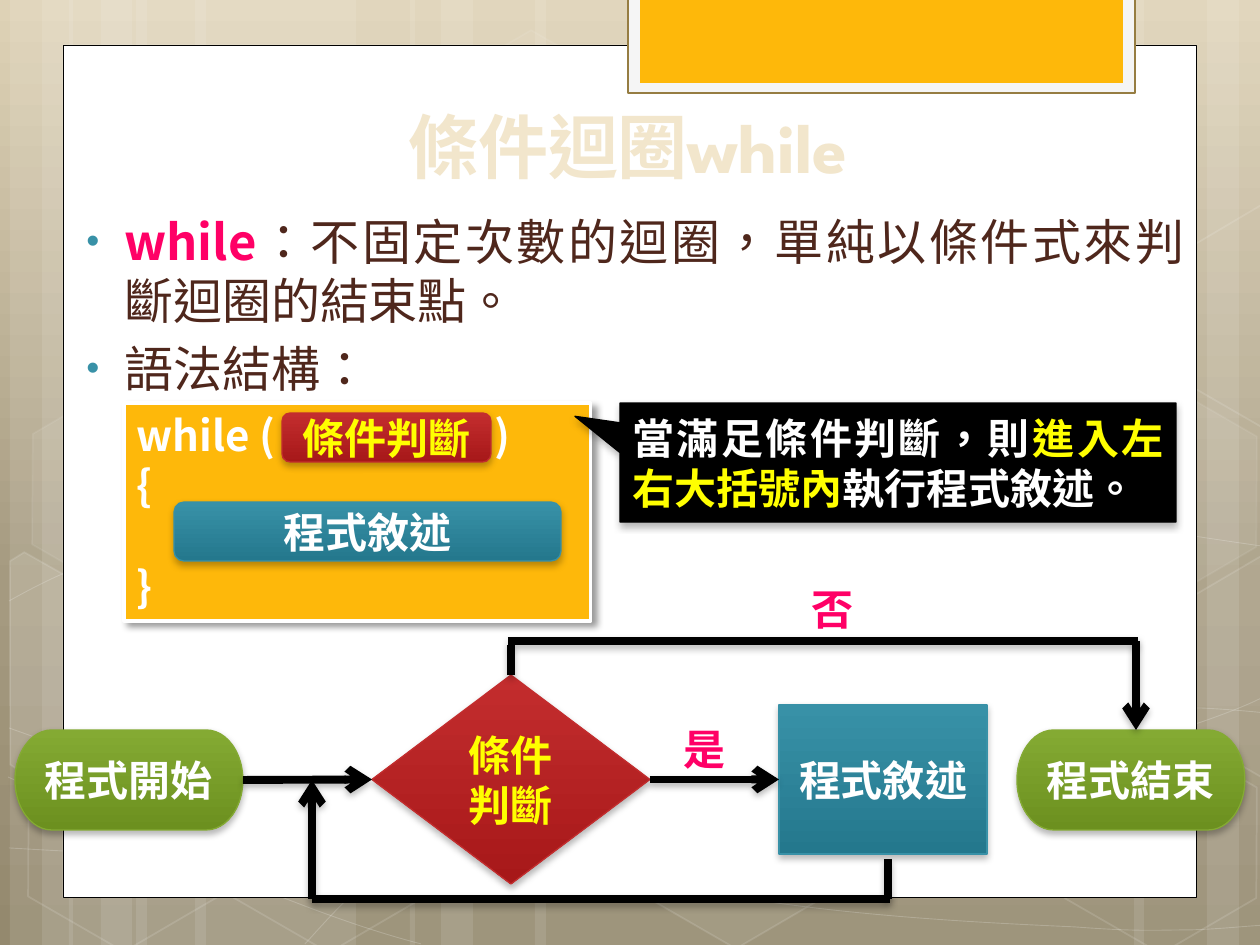
"""Build the slide that explains the while loop."""
import copy
import math

from lxml import etree
from pptx import Presentation, util as u
from pptx.dml.color import RGBColor
from pptx.enum import shapes, text
from pptx.oxml.ns import qn

KIND = shapes.MSO_SHAPE
ALIGN = text.PP_ALIGN
ANCHOR = text.MSO_ANCHOR
FONT = "Noto Sans CJK SC"
COLORS = {
    "white": "FFFFFF", "black": "000000", "yellow": "FFFF00", "pink": "FF0066",
    "brown": "4F271C", "cream": "F2E6CC", "amber": "FEB80A", "smoke": "F5F5F5",
    "olive": "967D42", "sand": "DED2B6", "khaki": "A59A80", "mud": "94896E",
    "teal": "3891A7", "deep teal": "24788D", "red": "C32D2E", "deep red": "A71819",
    "green": "84AA33", "deep green": "6C901F",
}
SOFT = (28, 4, 2, 90)
HARD = (40, 4, 3, 45)
STRIPES = [(base + shift, width) for base in (10, 69)
           for shift, width in ((126, 220), (0, 63), (32, 105))]
STRIPES += [(924, 220), (1207, 63), (1134, 105), (535, 389), (410, 63), (441, 105)]
CURVES = [
    [(9, 848), (77, 852), (145, 856), (239, 854), (334, 853), (451, 851), (577, 838),
     (703, 825), (882, 801), (998, 777), (1113, 753), (1231, 716), (1269, 694)],
    [(9, 601), (45, 581), (82, 562), (152, 543), (224, 524), (326, 496), (437, 488),
     (549, 479), (685, 478), (824, 488), (963, 498), (1193, 537), (1269, 547)],
    [(8, 777), (160, 847), (311, 916), (421, 944)],
    [(9, 728), (48, 742), (88, 756), (161, 776), (234, 795), (344, 827), (450, 848),
     (554, 869), (687, 892), (791, 905), (896, 919), (1008, 924), (1075, 927),
     (1140, 932), (1158, 930), (1191, 930), (1223, 929), (1246, 926), (1269, 925)],
    [(305, 944), (328, 919), (350, 893), (381, 871), (411, 848), (454, 823), (489, 805),
     (524, 788), (546, 780), (592, 767), (638, 754), (722, 737), (766, 728),
     (811, 719), (818, 719), (857, 717), (896, 713), (958, 709), (1000, 708),
     (1045, 708), (1116, 708), (1116, 708), (1144, 708), (1172, 708), (1201, 708),
     (1223, 709), (1245, 711), (1256, 712), (1264, 713), (1264, 712), (1268, 713)],
]
HEXAGONS = [(421, 45, 4, 8), (626, 742, 6, 12), (14, 745, 0, 12), (18, 393, 7, 8),
            (219, 746, 0, 12), (949, 571, 10, 12), (1051, 747, 0, 12), (1051, 396, 7, 8)]
CUT_HEXAGONS = [
    ([(10, 561), (24, 552), (121, 607), (120, 718), (25, 774), (10, 765)], (45, 674), 10),
    ([(1167, 611), (1261, 556), (1271, 562), (1271, 772), (1263, 777), (1167, 722)], (1241, 655), 4),
    ([(1167, 261), (1261, 205), (1273, 212), (1271, 422), (1263, 427), (1167, 372)], (1241, 304), 0),
]


def px(length):
    return round(length * 914400 / 126)


def rgb(name):
    return RGBColor.from_string(COLORS[name])


def add_xml(parent, tag, **attributes):
    return etree.SubElement(parent, qn(tag), {key: str(value) for key, value in attributes.items()})


def add_span(para, words, size=24, color="white", bold=True, font=FONT):
    span = para.add_run()
    span.text = words
    span.font.size, span.font.bold, span.font.name = u.Pt(size), bold, font
    span.font.color.rgb = rgb(color)
    span.font._element.set("lang", "zh-TW")
    add_xml(span.font._element, "a:ea", typeface=FONT)


def blend(fill, first, last):
    fill.gradient()
    fill.gradient_angle = 270
    for stop, name in zip(fill.gradient_stops, (first, last)):
        stop.color.rgb = rgb(name)


def cast_shadow(shape, alpha, blur, distance, angle):
    properties = shape.element.spPr
    effects = properties.find(qn("a:effectLst"))
    if effects is None:
        effects = add_xml(properties, "a:effectLst")
    shade = add_xml(effects, "a:outerShdw", blurRad=u.Pt(blur), dist=u.Pt(distance),
                    dir=angle * 60000, algn="ctr", rotWithShape=0)
    add_xml(add_xml(shade, "a:srgbClr", val=COLORS["black"]), "a:alpha", val=alpha * 1000)


def turn(points, center, degrees):
    cos, sin = math.cos(math.radians(degrees)), math.sin(math.radians(degrees))
    offsets = [(x - center[0], y - center[1]) for x, y in points]
    return [(round(center[0] + x * cos - y * sin), round(center[1] + x * sin + y * cos))
            for x, y in offsets]


class Painter:
    """Holds the style and the current page, with one method per kind of element."""

    def __init__(self, page):
        self.page = page

    def backdrop(self, first, middle, last):
        blend(self.page.background.fill, first, last)
        stops = self.page.element.find(".//" + qn("a:gsLst"))
        center = copy.deepcopy(stops[1])
        center.set("pos", "62000")
        center[0].set("val", COLORS[middle])
        stops.insert(1, center)

    def dress(self, shape, fill=None, line=None, width=0.75, shadow=None, fill_alpha=100, line_alpha=100):
        shape.shadow.inherit = False
        if fill is None or not fill_alpha:
            shape.fill.background()
        elif isinstance(fill, tuple):
            blend(shape.fill, *fill)
        else:
            shape.fill.solid()
            shape.fill.fore_color.rgb = rgb(fill)
        if line:
            shape.line.color.rgb = rgb(line)
            shape.line.width = u.Pt(width)
        else:
            shape.line.fill.background()
        for place, alpha in (("a:solidFill", fill_alpha), ("a:ln/a:solidFill", line_alpha)):
            names = [qn(tag) for tag in place.split("/") + ["a:srgbClr"]]
            color = shape.element.spPr.find("/".join(names))
            if color is not None and alpha < 100:
                add_xml(color, "a:alpha", val=alpha * 1000)
        if shadow:
            cast_shadow(shape, *shadow)
        return shape

    def shape(self, kind, *place, adjust=(), **style):
        shape = self.page.shapes.add_shape(kind, *map(px, place))
        for index, value in enumerate(adjust):
            shape.adjustments[index] = value
        return self.dress(shape, **style)

    def outline(self, points, close=False, **style):
        builder = self.page.shapes.build_freeform(*points[0], scale=px(1))
        builder.add_line_segments(points[1:], close=close)
        return self.dress(builder.convert_to_shape(), **style)

    def curve(self, points, **style):
        shape = self.outline(points, **style)
        track = shape.element.find(".//" + qn("a:pathLst"))[0]
        steps = track.findall(qn("a:lnTo"))
        for index in range(0, len(steps), 3):
            bend = add_xml(track, "a:cubicBezTo")
            for step in steps[index:index + 3]:
                bend.append(step[0])
                track.remove(step)

    def node(self, kind, *place, words, color="white", tint="teal"):
        box = self.shape(kind, *place, fill=(tint, "deep " + tint), line=tint, shadow=SOFT)
        add_span(self.para(box, ALIGN.CENTER, ANCHOR.MIDDLE), words, color=color)
        return box

    def para(self, box, align=ALIGN.LEFT, anchor=ANCHOR.TOP):
        frame = box.text_frame
        frame.word_wrap, frame.vertical_anchor = True, anchor
        frame.paragraphs[0].alignment = align
        return frame.paragraphs[0]

    def text_box(self, *place):
        return self.page.shapes.add_textbox(*map(px, place))

    def label(self, *place, words):
        add_span(self.para(self.text_box(*place)), words, color="pink")

    def bullet(self, para):
        para.alignment, para.space_before = ALIGN.JUSTIFY, u.Pt(5.6)
        properties = para._p.get_or_add_pPr()
        properties.set("marL", str(px(48)))
        properties.set("indent", str(px(-38)))
        add_xml(add_xml(properties, "a:buClr"), "a:srgbClr", val=COLORS["teal"])
        add_xml(properties, "a:buSzPct", val=76000)
        add_xml(properties, "a:buFont", typeface="Arial")
        add_xml(properties, "a:buChar", char="•")

    def line(self, *ends, arrow=False, begin=None, end=None):
        line = self.page.shapes.add_connector(shapes.MSO_CONNECTOR.STRAIGHT, *map(px, ends))
        line.line.color.rgb, line.line.width = rgb("black"), u.Pt(4.5)
        if arrow:
            add_xml(line.element.spPr.find(qn("a:ln")), "a:tailEnd", type="arrow")
        cast_shadow(line, *SOFT)
        if begin:
            line.begin_connect(*begin)
        if end:
            line.end_connect(*end)

    def title(self, *place, words):
        title = self.page.shapes.title
        title.left, title.top, title.width, title.height = map(px, place)
        para = self.para(title, ALIGN.CENTER, ANCHOR.BOTTOM)
        title.text_frame.auto_size = text.MSO_AUTO_SIZE.NONE
        add_span(para, words, 40, "cream", font="League Spartan")
        self.page.shapes.element.append(title.element)


def draw_background(art):
    art.backdrop("sand", "khaki", "mud")
    for left, width in STRIPES:
        art.shape(KIND.RECTANGLE, left, 0, width, 945, fill="white", fill_alpha=10)
    for points in CURVES:
        art.curve(points, line="white", width=0.5, line_alpha=20)
    for left, top, alpha, edge in HEXAGONS:
        art.shape(KIND.HEXAGON, left, top, 220, 192, adjust=(0.285,), fill="white", fill_alpha=alpha,
                  line="white", width=1, line_alpha=edge).rotation = 30
    for points, center, alpha in CUT_HEXAGONS:
        art.outline(turn(points, center, -30), True, fill="white", fill_alpha=alpha,
                    line="white", width=1, line_alpha=12).rotation = 30
    art.shape(KIND.RECTANGLE, 63, 45, 1134, 853, fill="white", line="black", width=0.5)
    art.shape(KIND.RECTANGLE, 628, -2, 507, 95, fill="smoke", line="olive", width=1.25)
    art.shape(KIND.RECTANGLE, 640, -2, 483, 85, fill="amber")


def draw_syntax(art):
    code = art.shape(KIND.RECTANGLE, 124, 403, 467, 218, fill="amber", line="white", width=1.75, shadow=HARD)
    head = art.para(code)
    add_span(head, "while (\t)")
    add_xml(add_xml(head._p.get_or_add_pPr(), "a:tabLst"), "a:tab", pos=px(358), algn="l")
    for brace, gap in (("{", 0), ("}", 29)):
        para = code.text_frame.add_paragraph()
        para.alignment, para.space_before = ALIGN.LEFT, u.Pt(gap)
        add_span(para, brace)
    body = art.text_box(64, 205, 1133, 693)
    para = art.para(body)
    art.bullet(para)
    add_span(para, "while", 28, "pink")
    add_span(para, "：不固定次數的迴圈，單純以條件式來判斷迴圈的結束點。", 28, "brown", False)
    para = body.text_frame.add_paragraph()
    art.bullet(para)
    add_span(para, "語法結構：", 28, "brown", False)
    art.node(KIND.ROUNDED_RECTANGLE, 174, 502, 387, 59, words="程式敘述")
    art.node(KIND.ROUNDED_RECTANGLE, 282, 413, 209, 49, words="條件判斷", color="yellow", tint="red")
    note = art.shape(KIND.RECTANGULAR_CALLOUT, 620, 403, 556, 119, adjust=(-0.581, -0.388),
                     fill="black", line="black", shadow=SOFT)
    para = art.para(note, ALIGN.JUSTIFY, ANCHOR.MIDDLE)
    for words, color in (("當滿足條件判斷，則", "white"), ("進入左右大括號內", "yellow"),
                         ("執行程式敘述。", "white")):
        add_span(para, words, color=color)


def draw_flow(art):
    test = art.node(KIND.DIAMOND, 372, 675, 278, 209, words="條件判斷", color="yellow", tint="red")
    step = art.node(KIND.RECTANGLE, 779, 705, 208, 149, words="程式敘述")
    start = art.node(KIND.FLOWCHART_TERMINATOR, 15, 730, 228, 100, words="程式開始", tint="green")
    art.node(KIND.FLOWCHART_TERMINATOR, 1017, 730, 228, 100, words="程式結束", tint="green")
    art.line(243, 779, 372, 779, arrow=True, begin=(start, 3), end=(test, 1))
    art.line(650, 779, 778, 779, arrow=True, begin=(test, 3), end=(step, 1))
    art.line(888, 859, 888, 899)
    art.line(890, 899, 312, 899)
    art.line(312, 899, 312, 780, arrow=True)
    art.line(511, 675, 511, 645, begin=(test, 0))
    art.line(508, 641, 1138, 641)
    art.line(1136, 641, 1136, 730, arrow=True)
    art.label(671, 717, 68, 63, words="是")
    art.label(799, 577, 68, 63, words="否")


def main():
    deck = Presentation()
    deck.slide_width, deck.slide_height = px(1260), px(945)
    art = Painter(deck.slides.add_slide(deck.slide_layouts[5]))
    draw_background(art)
    draw_syntax(art)
    draw_flow(art)
    art.title(144, 37, 968, 157, words="條件迴圈while")
    deck.save("out.pptx")


if __name__ == "__main__":
    main()
